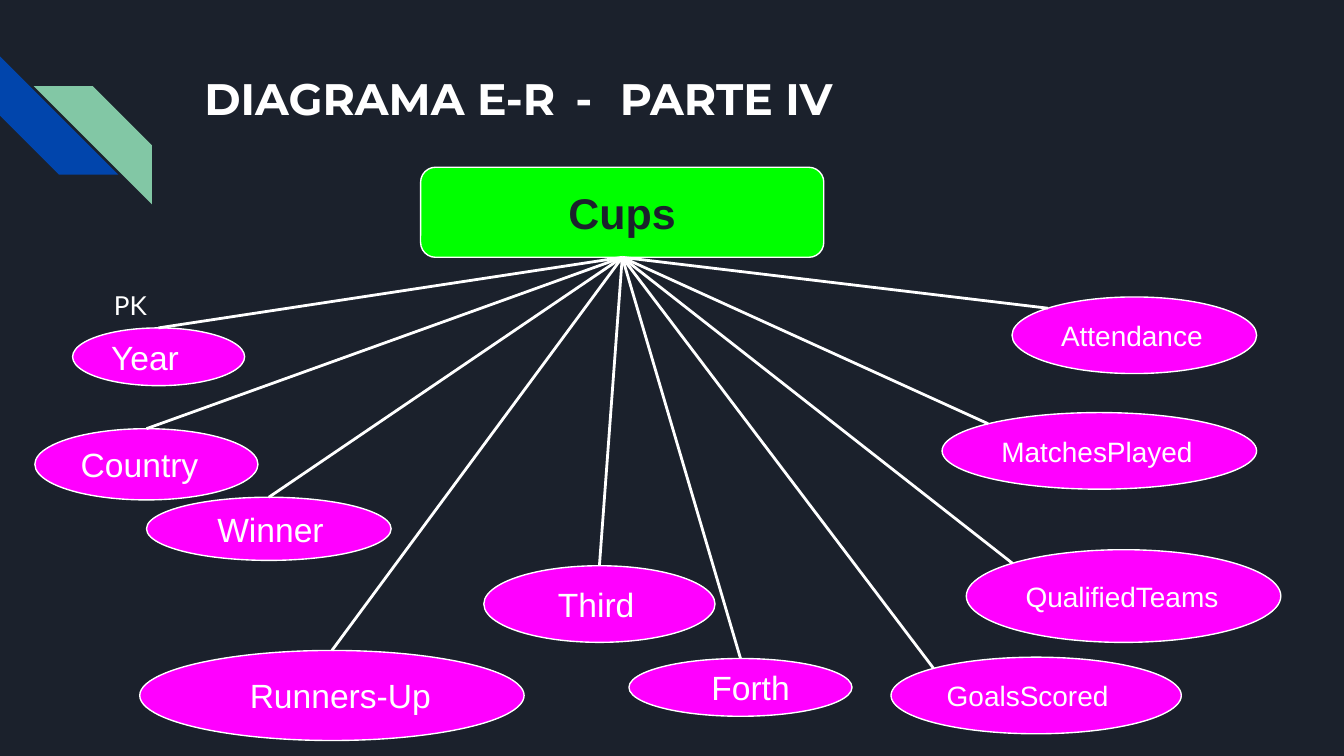
import math

import pptx
import pptx.dml.color
import pptx.enum.shapes
import pptx.enum.text
import pptx.oxml.ns
import pptx.util
from lxml import etree

SHAPE = pptx.enum.shapes.MSO_SHAPE
ALIGN = pptx.enum.text.PP_ALIGN
ANCHOR = pptx.enum.text.MSO_ANCHOR
WHITE, NIGHT, GREEN, MAGENTA = "FFFFFF", "1B212C", "00FF00", "FF00FF"


def paint(target, color):
    """Give a fill or a line's fill one solid colour."""
    target.solid()
    target.fore_color.rgb = pptx.dml.color.RGBColor.from_string(color)


def write(shape, text, size, font, color=WHITE, bold=False, align=ALIGN.LEFT,
          anchor=ANCHOR.MIDDLE, indent=0):
    """Add one formatted run; indent is in grid units beyond the usual inset."""
    frame = shape.text_frame
    frame.word_wrap = True
    frame.vertical_anchor = anchor
    frame.margin_left = int((1 + indent) * unit)
    frame.margin_right = frame.margin_top = frame.margin_bottom = unit
    paragraph = frame.paragraphs[0]
    paragraph.alignment = align
    run = paragraph.add_run()
    run.text = text
    run.font.size = pptx.util.Pt(size)
    run.font.name = font
    run.font.bold = bold
    paint(run.font.fill, color)
    return run


deck = pptx.Presentation()
deck.slide_width = pptx.util.Inches(10)
deck.slide_height = deck.slide_width * 9 // 16
unit = deck.slide_width // 100  # square grid, 100 columns across

slide = deck.slides.add_slide(deck.slide_layouts[5])
paint(slide.background.fill, NIGHT)

# Title, with wider tracking around the dash
title = slide.shapes.title
title.left, title.top = int(14.2 * unit), int(4.3 * unit)
title.width, title.height = 77 * unit, 10 * unit
for part, tracking in (("DIAGRAMA E-R", 0), (" - ", 400), ("PARTE IV", 0)):
    run = write(title, part, 23.6, "Montserrat", bold=True, anchor=ANCHOR.TOP)
    run.font._element.set("spc", str(tracking))

# Corner stripes
for column, row, color in ((0, 4.2, "0145AC"), (2.5, 6.4, "82C7A5")):
    stripe = slide.shapes.add_shape(
        SHAPE.DIAGONAL_STRIPE, int(column * unit), int(row * unit),
        int(8.8 * unit), int(8.8 * unit))
    stripe.shadow.inherit = False
    paint(stripe.fill, color)
    stripe.line.fill.background()
    if column == 0:
        stripe.rotation = 270
    else:
        stripe._element.spPr.find(pptx.oxml.ns.qn("a:xfrm")).set("flipH", "1")

# Entity
entity = slide.shapes.add_shape(
    SHAPE.ROUNDED_RECTANGLE, int(31.3 * unit), int(12.45 * unit),
    30 * unit, int(6.7 * unit))
entity.shadow.inherit = False
paint(entity.fill, GREEN)
paint(entity.line.fill, WHITE)
entity.line.width = pptx.util.Pt(0.75)
write(entity, "Cups", 23, "Arial", NIGHT, bold=True, align=ALIGN.CENTER)

# Attributes: name, column, row, columns wide, rows high, text size, indent
attributes = [
    ("Year", 5.4, 24.4, 12.8, 4.3, 18, 0),
    ("Country", 2.6, 31.9, 16.6, 5.3, 18, 0),
    ("Winner", 10.9, 37, 18.2, 4.7, 18, 1.6),
    ("Runners-Up", 10.4, 48.4, 28.6, 6.7, 18, 3),
    ("Third", 36, 42.1, 17.2, 5.7, 18, 2),
    ("Forth", 46.8, 49, 16.6, 4.3, 18, 1.5),
    ("GoalsScored", 66.3, 48.9, 21.6, 5.7, 15, 0),
    ("QualifiedTeams", 71.9, 40.9, 23.4, 6.9, 15, 0),
    ("MatchesPlayed", 70.1, 30.7, 23.4, 5.7, 15, 0),
    ("Attendance", 75.3, 22.1, 18.2, 5.7, 15, 0),
]
diagonal = (1 - math.sqrt(0.5)) / 2  # upper-left point of an ellipse

for name, column, row, columns, rows, size, indent in attributes:
    attribute = slide.shapes.add_shape(
        SHAPE.OVAL, int(column * unit), int(row * unit),
        int(columns * unit), int(rows * unit))
    attribute.shadow.inherit = False
    paint(attribute.fill, MAGENTA)
    paint(attribute.line.fill, WHITE)
    attribute.line.width = pptx.util.Pt(0.75)
    write(attribute, name, size, "Arial", indent=indent,
          align=ALIGN.CENTER if name == "Forth" else ALIGN.LEFT)

    # Attributes right of the entity join at their upper left, others on top
    on_right = attribute.left > entity.left + entity.width
    across, down = (diagonal, diagonal) if on_right else (0.5, 0)
    link = slide.shapes.add_connector(
        pptx.enum.shapes.MSO_CONNECTOR.STRAIGHT, 0, 0, 0, 0)
    link.begin_connect(entity, 2)
    link.end_connect(attribute, 1 if on_right else 0)
    link.end_x = int(attribute.left + across * attribute.width)
    link.end_y = int(attribute.top + down * attribute.height)
    paint(link.line.fill, WHITE)
    link.line.width = pptx.util.Pt(1.5)
    etree.SubElement(link._element.spPr, pptx.oxml.ns.qn("a:effectLst"))

# Primary key mark above Year
key = slide.shapes.add_textbox(
    int(7.5 * unit), int(20.5 * unit), int(54.3 * unit), int(4.4 * unit))
write(key, "PK", 14, "Lato", anchor=ANCHOR.TOP)

deck.save("out.pptx")
